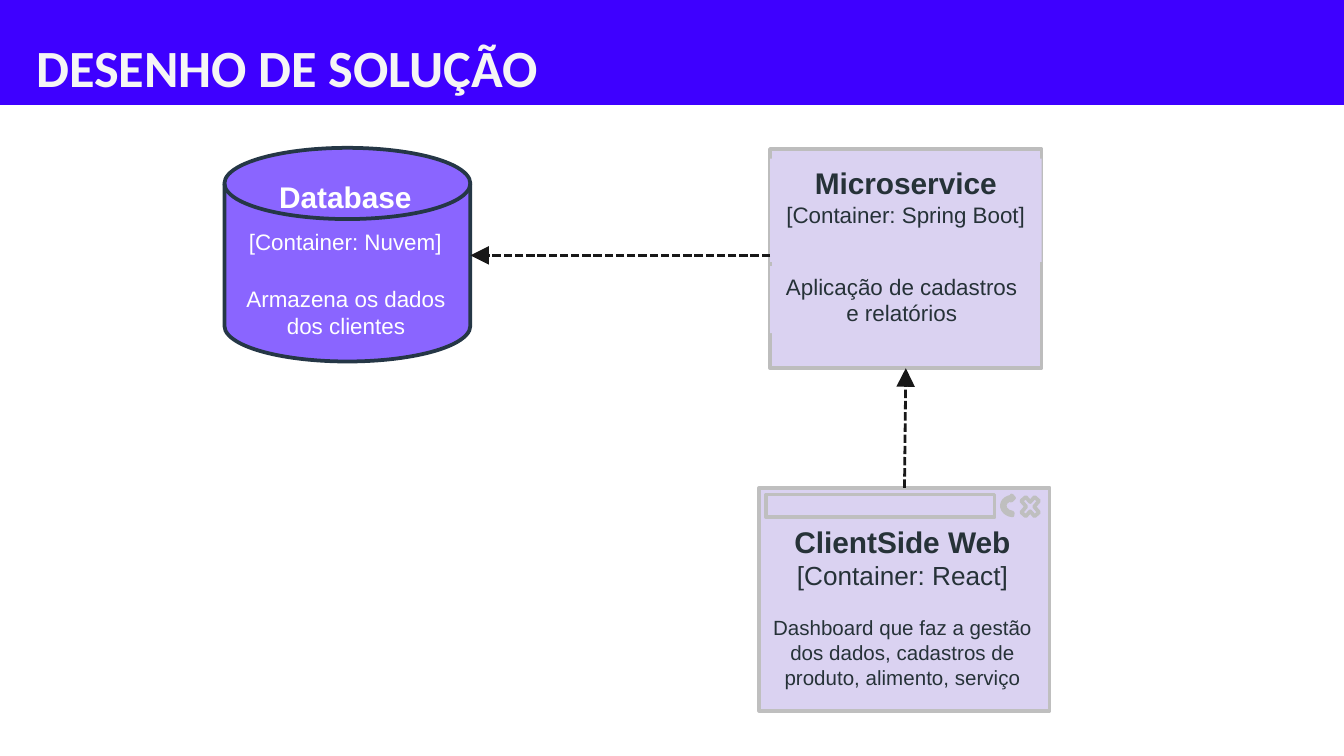
from lxml.etree import SubElement
from pptx import Presentation
from pptx.dml.color import RGBColor
from pptx.enum.dml import MSO_LINE
from pptx.enum.shapes import MSO_CONNECTOR, MSO_SHAPE as Shape
from pptx.enum.text import MSO_ANCHOR as Anchor, MSO_AUTO_SIZE as AutoSize, PP_ALIGN as Align
from pptx.oxml.ns import qn
from pptx.util import Inches, Pt

BLUE, PURPLE, LILAC = "3E00FF", "8A65FF", "DAD2F1"
WHITE, OFF_WHITE, DARK = "FFFFFF", "F5F5F5", "263238"
NAVY, GREY, LIGHT_GREY, BLACK = "253746", "BDBDBD", "BFBFBF", "181818"


def color(value):
    return RGBColor.from_string(value)


def set_values(target, values):
    for name, value in values.items():
        setattr(target, name, value)


def set_font(font, size, value, bold=False, name="Arial"):
    set_values(font, {"name": name, "size": Pt(size), "bold": bold})
    font.color.rgb = color(value)


def add_shape(slide, kind, box, fill=None, line=None, rotation=0):
    shape = slide.shapes.add_shape(kind, *map(Inches, box))
    shape.shadow.inherit = False
    shape.rotation = rotation
    if fill:
        shape.fill.solid()
        shape.fill.fore_color.rgb = color(fill)
    else:
        shape.fill.background()
    if line:
        shape.line.color.rgb = color(line)
        shape.line.width = Pt(2)
    else:
        shape.line.fill.background()
    return shape


def add_label(slide, box, lines, value, fill=None, spacing=None):
    label = slide.shapes.add_textbox(*map(Inches, box))
    if fill:
        label.fill.solid()
        label.fill.fore_color.rgb = color(fill)
    frame = label.text_frame
    set_values(frame, {"word_wrap": True, "auto_size": AutoSize.SHAPE_TO_FIT_TEXT,
                       "vertical_anchor": Anchor.TOP})
    for index, (text, size, bold) in enumerate(lines):
        paragraph = frame.add_paragraph() if index else frame.paragraphs[0]
        set_values(paragraph, {"alignment": Align.CENTER, "line_spacing": spacing})
        run = paragraph.add_run()
        run.text = text
        set_font(run.font, size, value, bold)


def add_arrow(slide, start, end):
    arrow = slide.shapes.add_connector(MSO_CONNECTOR.STRAIGHT, *map(Inches, start + end))
    set_values(arrow.line, {"width": Pt(1.5), "dash_style": MSO_LINE.SQUARE_DOT})
    arrow.line.color.rgb = color(BLACK)
    properties = arrow._element.spPr
    SubElement(properties.find(qn("a:ln")), qn("a:tailEnd"), type="triangle", w="lg", len="lg")
    SubElement(properties, qn("a:effectLst"))
    return arrow


def add_header(slide, left, top, width, height):
    band = add_shape(slide, Shape.RECTANGLE, (left, top, width, height), BLUE)
    title = slide.shapes.title
    band._element.addnext(title._element)
    set_values(title, {"left": Inches(left + 0.17), "top": Inches(top + 0.18),
                       "width": Inches(8.19), "height": Inches(0.63)})
    frame = title.text_frame
    set_values(frame, {"word_wrap": True, "auto_size": AutoSize.NONE,
                       "vertical_anchor": Anchor.MIDDLE})
    set_values(frame, {f"margin_{side}": Inches(0.1)
                       for side in ("left", "top", "right", "bottom")})
    paragraph = frame.paragraphs[0]
    paragraph.alignment = Align.LEFT
    run = paragraph.add_run()
    run.text = "DESENHO DE SOLUÇÃO"
    set_font(run.font, 28, OFF_WHITE, True, "Calibri")


def add_database(slide, left, top, width, height):
    add_shape(slide, Shape.FLOWCHART_MAGNETIC_DISK, (left, top, width, height), PURPLE, NAVY)
    add_label(slide, (left - 0.24, top + 0.05, 2.28, 0.77),
              [("Database", 16, True), ("[Container: Nuvem]", 12, False)], WHITE, spacing=1.5)
    add_label(slide, (left - 0.08, top + 0.97, 1.97, 0.5),
              [("Armazena os dados dos clientes", 12, False)], WHITE)


def add_microservice(slide, left, top, width, height):
    frame = add_shape(slide, Shape.RECTANGLE, (left, top, width, height), LILAC, GREY)
    add_label(slide, (left, top + 0.07, width, 0.77),
              [("Microservice", 16, True), ("[Container: Spring Boot]", 12, False)], DARK, LILAC)
    add_label(slide, (left, top + 0.87, width - 0.06, 0.5),
              [("Aplicação de cadastros e relatórios", 12, False)], DARK, LILAC)
    return frame


def add_client(slide, left, top, width, height):
    window = add_shape(slide, Shape.RECTANGLE, (left, top, width, height), LILAC, LIGHT_GREY)
    add_shape(slide, Shape.RECTANGLE, (left + 0.05, top + 0.05, 1.7, 0.17), line=LIGHT_GREY)
    add_shape(slide, Shape.MATH_MULTIPLY, (left + 1.92, top + 0.03, 0.19, 0.22), line=LIGHT_GREY)
    add_shape(slide, Shape.CIRCULAR_ARROW, (left + 1.81, top + 0.04, 0.16, 0.19),
              line=LIGHT_GREY, rotation=275)
    add_label(slide, (left - 0.06, top + 0.22, 2.25, 0.59),
              [("ClientSide Web", 16, True), ("[Container: React]", 14, False)], DARK)
    add_label(slide, (left - 0.06, top + 0.9, 2.25, 0.66),
              [("Dashboard que faz a gestão dos dados, cadastros de produto, alimento, serviço",
                11, False)], DARK)
    return window


def main():
    presentation = Presentation()
    slide_width = Inches(10)
    set_values(presentation, {"slide_width": slide_width, "slide_height": slide_width * 9 // 16})
    slide = presentation.slides.add_slide(presentation.slide_layouts[5])
    add_header(slide, 0, 0, 10, 0.78)
    add_database(slide, 1.67, 1.1, 1.83, 1.59)
    microservice = add_microservice(slide, 5.73, 1.11, 2.02, 1.63)
    add_arrow(slide, (5.73, 1.9), (3.5, 1.9))
    client = add_client(slide, 5.65, 3.63, 2.16, 1.66)
    request = add_arrow(slide, (6.73, 3.63), (6.74, 2.74))
    request.begin_connect(client, 0)
    request.end_connect(microservice, 2)
    presentation.save("out.pptx")


if __name__ == "__main__":
    main()
